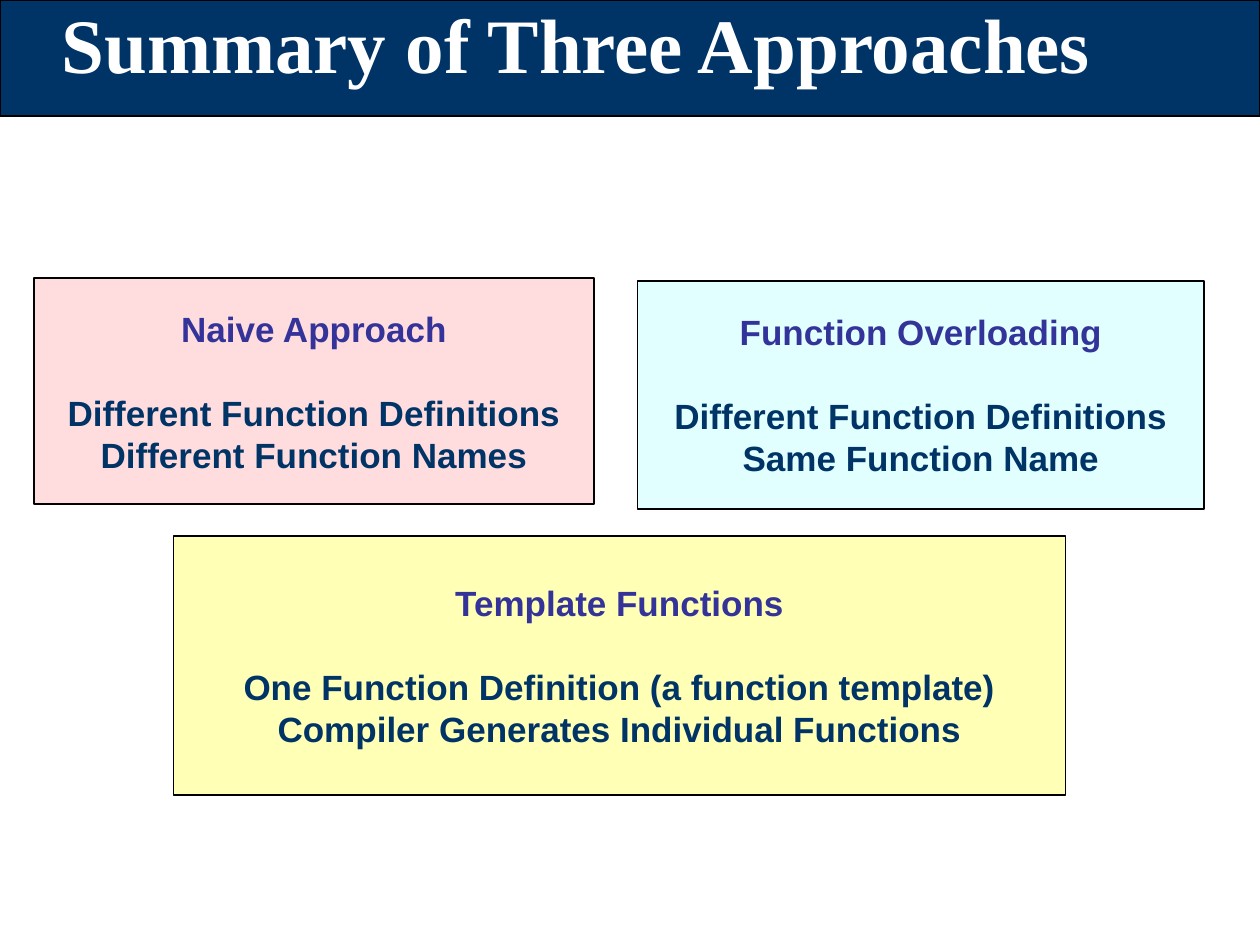
"""Build the slide that sums up three approaches to functions."""
from pptx import Presentation
from pptx import util as u
from pptx.dml.color import RGBColor
from pptx.enum import shapes, text


def paint(item, tint):
    item.fill.solid()
    item.fill.fore_color.rgb = RGBColor.from_string(tint)
    item.line.color.rgb = RGBColor.from_string("000000")
    item.shadow.inherit = False


def style(para, name, size, tint):
    para.alignment = text.PP_ALIGN.CENTER
    for run in para.runs:
        run.font.name = name
        run.font.size = u.Pt(size)
        run.font.bold = True
        run.font.color.rgb = RGBColor.from_string(tint)


deck = Presentation()
deck.slide_width, deck.slide_height = u.Cm(25.4), u.Cm(19.05)
slide = deck.slides.add_slide(deck.slide_layouts[5])
rect = shapes.MSO_SHAPE.RECTANGLE

band = slide.shapes.add_shape(rect, 0, 0, deck.slide_width, u.Cm(2.34))
paint(band, "003366")
band.line.width = u.Pt(0.75)

title = slide.shapes.title
slide.shapes._spTree.append(title._element)
title.left, title.top = u.Cm(-0.1), u.Cm(-1.27)
title.width, title.height = u.Cm(23.44), u.Cm(3.18)
title.text_frame.text = "Summary of Three Approaches"
title.text_frame.vertical_anchor = text.MSO_ANCHOR.BOTTOM
title.text_frame.auto_size = text.MSO_AUTO_SIZE.NONE
style(title.text_frame.paragraphs[0], "Times New Roman", 44, "FFFFFF")

cards = [
    (0.69, 5.61, 11.28, 4.55, "FFDDDE", "Naive Approach",
     "Different Function Definitions", "Different Function Names"),
    (12.85, 5.66, 11.43, 4.6, "E1FFFF", "Function Overloading",
     "Different Function Definitions", "Same Function Name"),
    (3.5, 10.8, 17.98, 5.23, "FFFFB6", "Template Functions",
     "One Function Definition (a function template)",
     "Compiler Generates Individual Functions"),
]
for left, top, width, height, tint, *lines in cards:
    card = slide.shapes.add_shape(
        rect, u.Cm(left), u.Cm(top), u.Cm(width), u.Cm(height))
    paint(card, tint)
    card.line.width = u.Pt(1)
    frame = card.text_frame
    frame.word_wrap = False
    frame.vertical_anchor = text.MSO_ANCHOR.MIDDLE
    frame.text = "\n".join(lines)
    for para, ink in zip(frame.paragraphs, ("333399", "003366", "003366")):
        style(para, "Arial", 20, ink)
    frame.paragraphs[1].space_before = u.Pt(24)

deck.save("out.pptx")
